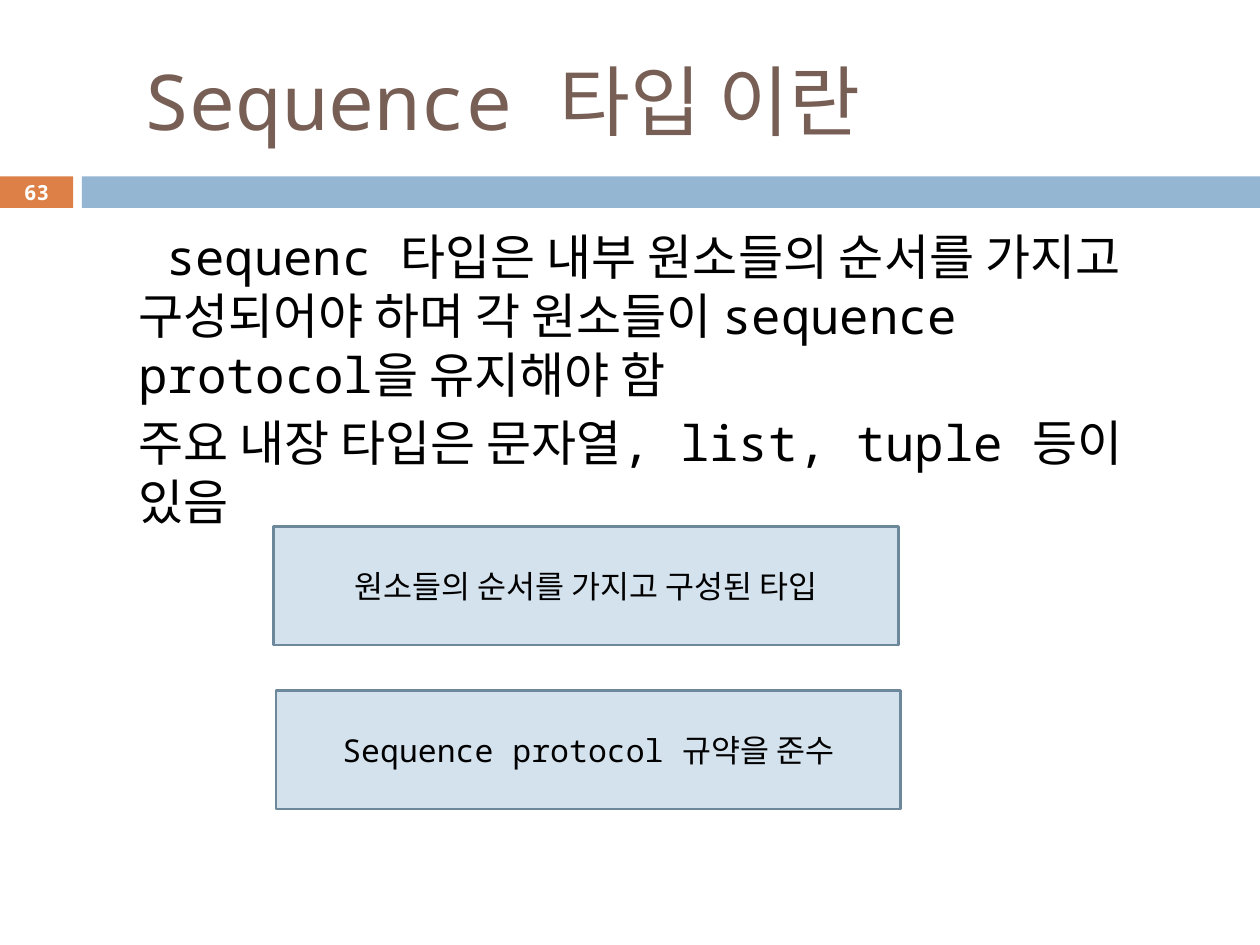
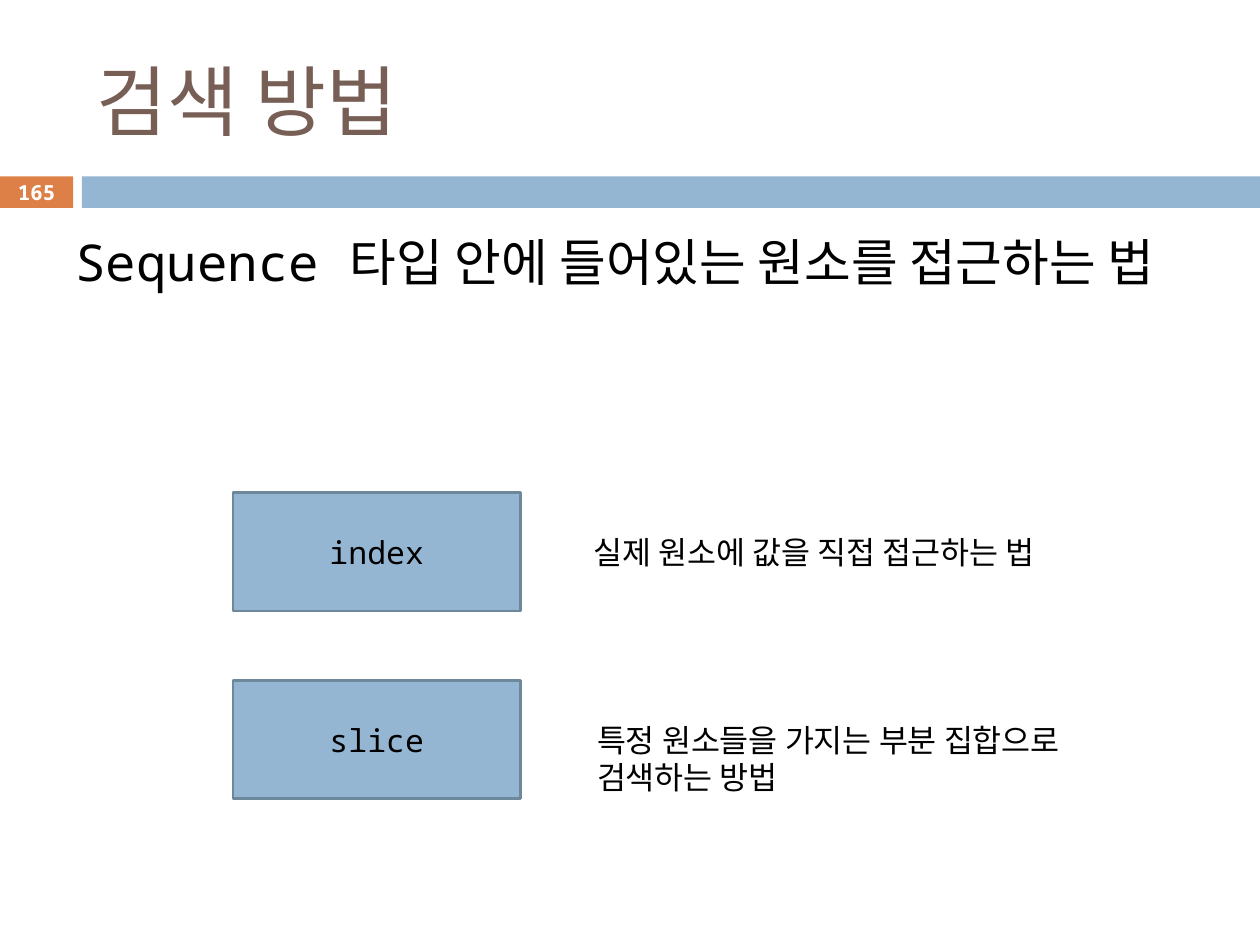
from dataclasses import dataclass

import pptx
import pptx.dml.color
import pptx.enum.shapes
import pptx.enum.text
import pptx.presentation
import pptx.shapes.autoshape
import pptx.slide
import pptx.util

EMU_PER_PX = 9144  # 100 px to the inch
SLIDE_WIDTH, SLIDE_HEIGHT = 1000, 750
FONT = "Noto Sans Mono"

BLACK = pptx.dml.color.RGBColor(0x00, 0x00, 0x00)
WHITE = pptx.dml.color.RGBColor(0xFF, 0xFF, 0xFF)
BROWN = pptx.dml.color.RGBColor(0x77, 0x5F, 0x55)
ORANGE = pptx.dml.color.RGBColor(0xDD, 0x80, 0x47)
BLUE = pptx.dml.color.RGBColor(0x94, 0xB6, 0xD2)
PALE_BLUE = pptx.dml.color.RGBColor(0xD4, 0xE2, 0xED)
STEEL = pptx.dml.color.RGBColor(0x6D, 0x87, 0x9B)

LEFT = pptx.enum.text.PP_ALIGN.LEFT
CENTER = pptx.enum.text.PP_ALIGN.CENTER
TOP = pptx.enum.text.MSO_ANCHOR.TOP
MIDDLE = pptx.enum.text.MSO_ANCHOR.MIDDLE


@dataclass(frozen=True)
class Area:
    left: int
    top: int
    width: int
    height: int


@dataclass(frozen=True)
class TextStyle:
    size: float
    color: pptx.dml.color.RGBColor = BLACK
    bold: bool = False
    align: pptx.enum.text.PP_ALIGN = LEFT
    anchor: pptx.enum.text.MSO_ANCHOR = TOP
    space_before: float = 0


@dataclass(frozen=True)
class Line:
    """One paragraph with its left margin and first-line indent in px."""
    text: str
    margin: int = 0
    indent: int = 0


@dataclass(frozen=True)
class Box:
    area: Area
    text: str
    fill: pptx.dml.color.RGBColor


@dataclass(frozen=True)
class Note:
    area: Area
    text: str


@dataclass(frozen=True)
class Page:
    number: int
    title: Line
    body_area: Area
    body_style: TextStyle
    body: list[Line]
    boxes: list[Box]
    notes: list[Note]


TITLE_AREA = Area(67, 25, 892, 108)
NUMBER_BAND = Area(0, 140, 58, 25)
WIDE_BAND = Area(65, 140, 935, 25)
NUMBER_AREA = Area(0, 139, 58, 27)

TITLE_STYLE = TextStyle(44, BROWN, anchor=MIDDLE)
NUMBER_STYLE = TextStyle(11.9, WHITE, True, CENTER, MIDDLE)
BOX_STYLE = TextStyle(18, align=CENTER, anchor=MIDDLE)
NOTE_STYLE = TextStyle(18)

PAGES = [
    Page(
        63,
        Line("Sequence 타입 이란", indent=37),
        Area(50, 175, 900, 200),
        TextStyle(28, space_before=5.5),
        [
            Line("sequenc 타입은 내부 원소들의 순서를 가지고 구성되어야 하며 "
                 "각 원소들이 sequence protocol을 유지해야 함", 50, 22),
            Line("주요 내장 타입은 문자열, list, tuple 등이 있음", 50),
        ],
        [
            Box(Area(217, 418, 496, 94), "원소들의 순서를 가지고 구성된 타입", PALE_BLUE),
            Box(Area(219, 548, 496, 94), "Sequence protocol 규약을 준수", PALE_BLUE),
        ],
        [],
    ),
    Page(
        165,
        Line("검색 방법"),
        Area(50, 178, 900, 173),
        TextStyle(29),
        [Line("Sequence 타입 안에 들어있는 원소를 접근하는 법")],
        [
            Box(Area(185, 391, 228, 94), "index", BLUE),
            Box(Area(185, 540, 228, 94), "slice", BLUE),
        ],
        [
            Note(Area(461, 418, 417, 40), "실제 원소에 값을 직접 접근하는 법"),
            Note(Area(464, 567, 417, 71), "특정 원소들을 가지는 부분 집합으로 검색하는 방법"),
        ],
    ),
]


def px(length: int) -> pptx.util.Emu:
    return pptx.util.Emu(length * EMU_PER_PX)


def bounds(area: Area) -> tuple[pptx.util.Emu, ...]:
    return px(area.left), px(area.top), px(area.width), px(area.height)


def write(text_frame: pptx.text.text.TextFrame, lines: list[Line], style: TextStyle) -> None:
    text_frame.word_wrap = True
    text_frame.vertical_anchor = style.anchor
    text_frame.text = "\n".join(line.text for line in lines)
    for position, (paragraph, line) in enumerate(zip(text_frame.paragraphs, lines)):
        properties = paragraph._p.get_or_add_pPr()
        properties.set("marL", str(px(line.margin)))
        properties.set("indent", str(px(line.indent)))
        paragraph.alignment = style.align
        if position:
            paragraph.space_before = pptx.util.Pt(style.space_before)
        for run in paragraph.runs:
            run.font.name = FONT
            run.font.size = pptx.util.Pt(style.size)
            run.font.bold = style.bold
            run.font.color.rgb = style.color


def add_text(slide: pptx.slide.Slide, area: Area, lines: list[Line],
             style: TextStyle) -> pptx.shapes.autoshape.Shape:
    shape = slide.shapes.add_textbox(*bounds(area))
    write(shape.text_frame, lines, style)
    return shape


def add_rectangle(slide: pptx.slide.Slide, area: Area,
                  fill: pptx.dml.color.RGBColor) -> pptx.shapes.autoshape.Shape:
    """Add a flat rectangle without an outline."""
    shape = slide.shapes.add_shape(pptx.enum.shapes.MSO_SHAPE.RECTANGLE, *bounds(area))
    shape.shadow.inherit = False
    shape.fill.solid()
    shape.fill.fore_color.rgb = fill
    shape.line.fill.background()
    return shape


def add_box(slide: pptx.slide.Slide, box: Box) -> None:
    shape = add_rectangle(slide, box.area, box.fill)
    shape.line.color.rgb = STEEL
    shape.line.width = pptx.util.Pt(1.5)
    write(shape.text_frame, [Line(box.text)], BOX_STYLE)


def add_frame(slide: pptx.slide.Slide, page: Page) -> None:
    """Add the bands, title and number that every slide carries."""
    add_rectangle(slide, NUMBER_BAND, ORANGE)
    add_rectangle(slide, WIDE_BAND, BLUE)
    add_text(slide, TITLE_AREA, [page.title], TITLE_STYLE)
    number = add_text(slide, NUMBER_AREA, [Line(str(page.number))], NUMBER_STYLE)
    number.text_frame.margin_left = number.text_frame.margin_right = 0
    number.text_frame.margin_top = number.text_frame.margin_bottom = 0


def add_page(presentation: pptx.presentation.Presentation, page: Page) -> None:
    slide = presentation.slides.add_slide(presentation.slide_layouts[6])
    add_frame(slide, page)
    add_text(slide, page.body_area, page.body, page.body_style)
    for box in page.boxes:
        add_box(slide, box)
    for note in page.notes:
        add_text(slide, note.area, [Line(note.text)], NOTE_STYLE)


def main() -> None:
    presentation = pptx.Presentation()
    presentation.slide_width = px(SLIDE_WIDTH)
    presentation.slide_height = px(SLIDE_HEIGHT)
    for page in PAGES:
        add_page(presentation, page)
    presentation.save("out.pptx")


if __name__ == "__main__":
    main()
